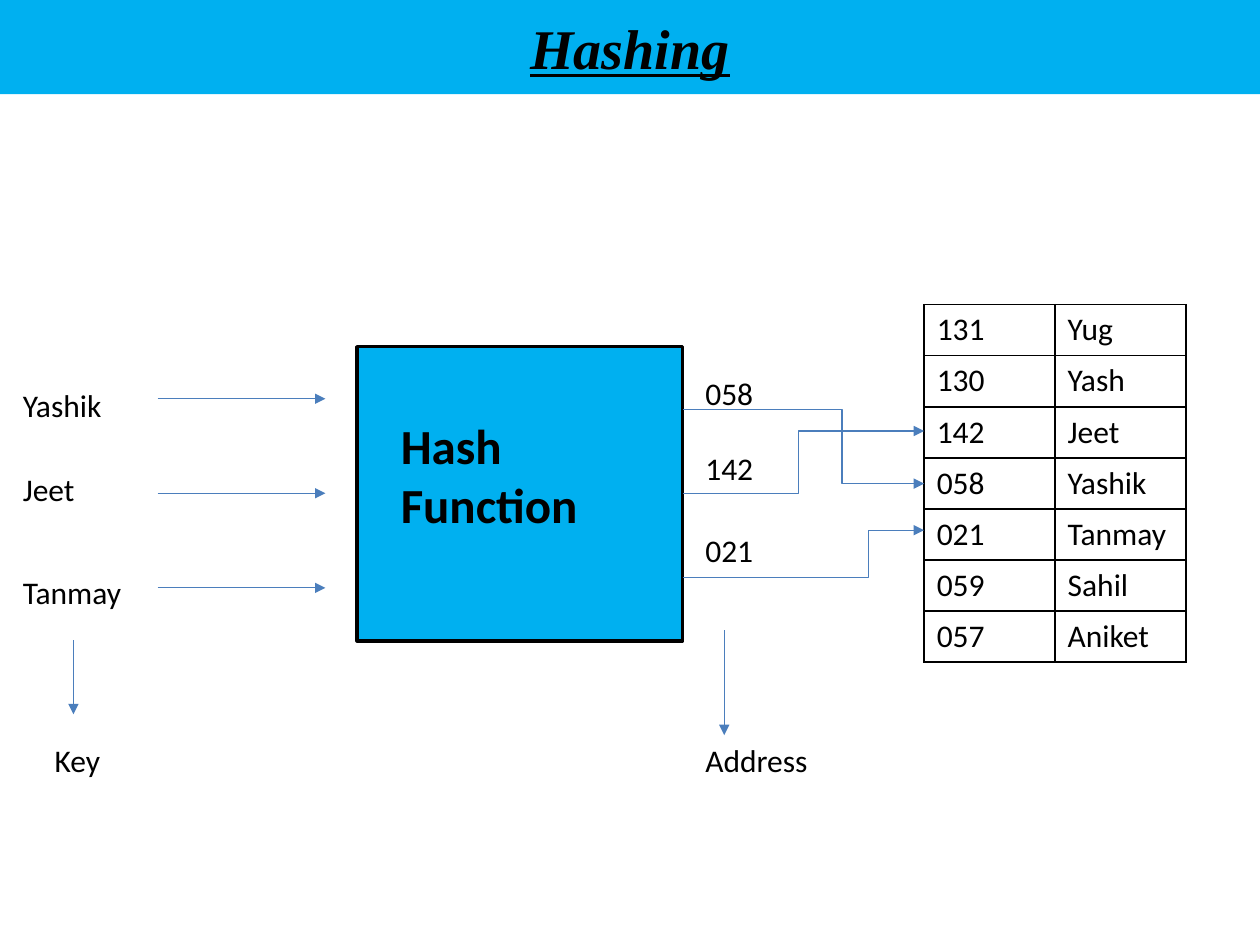
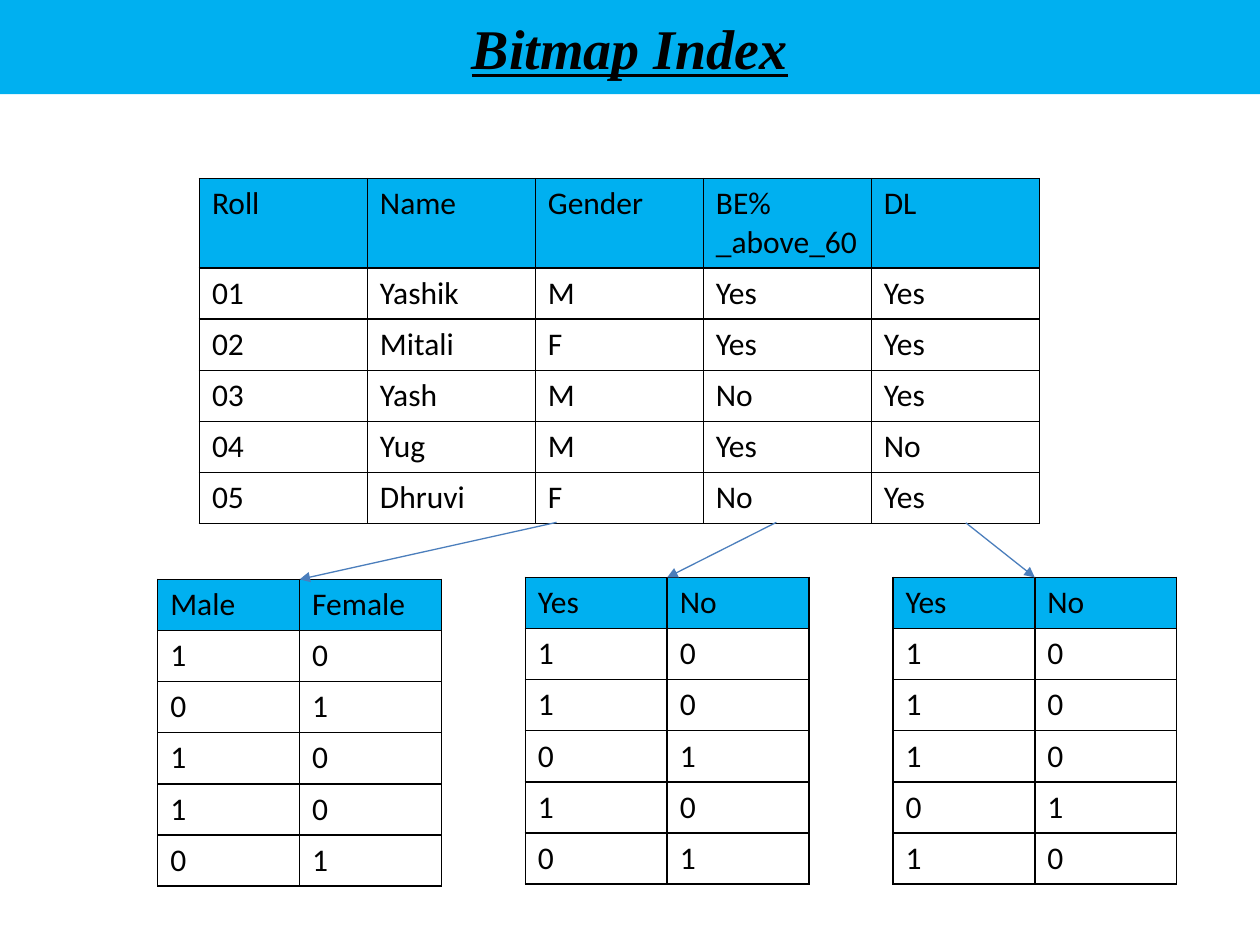
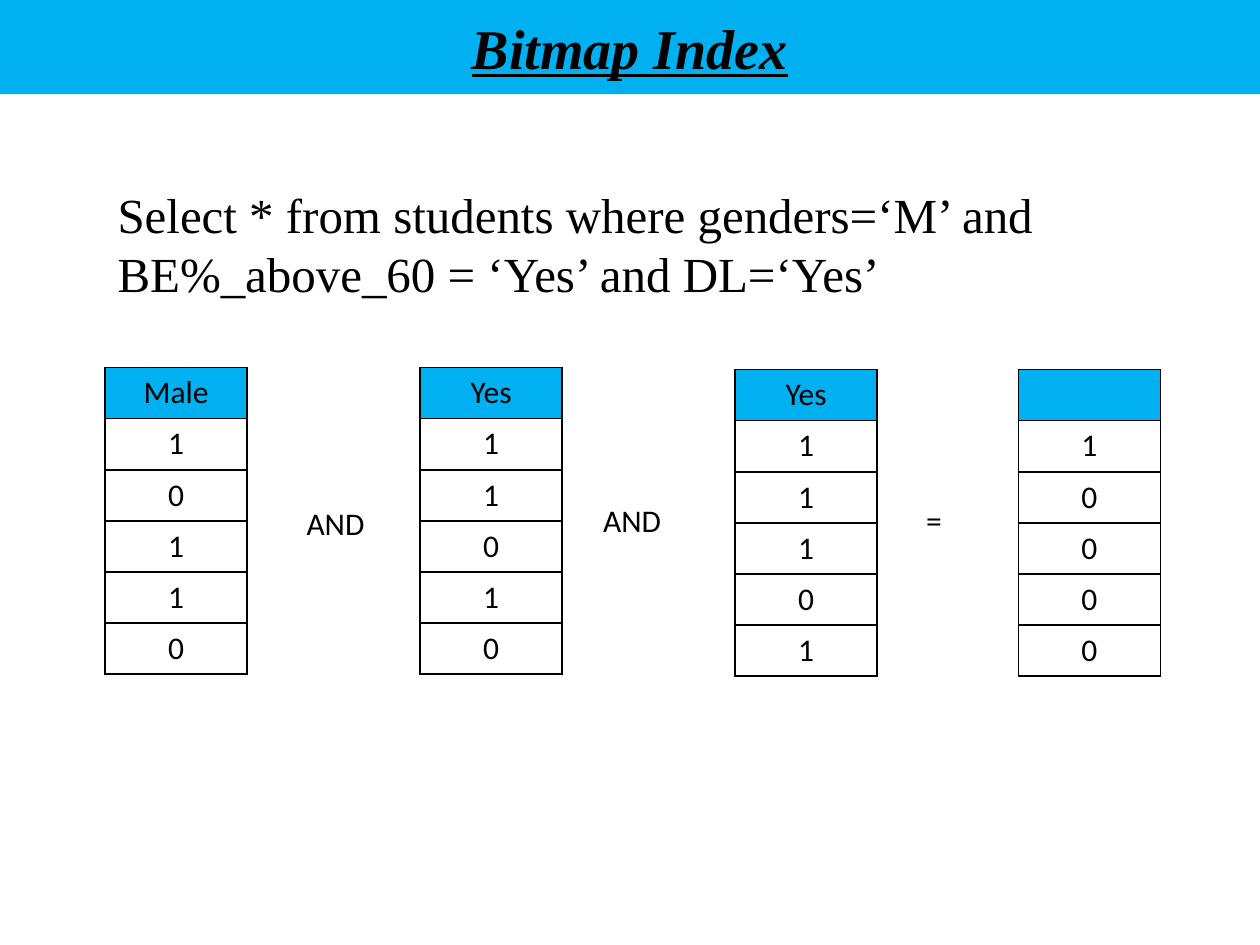
"""Build three slides on hashing and bitmap indexes."""
from dataclasses import dataclass
from lxml.etree import SubElement
from pptx import Presentation
from pptx.dml.color import RGBColor as Rgb
from pptx.enum.shapes import MSO_CONNECTOR as Link, MSO_SHAPE as Form
from pptx.enum.text import MSO_ANCHOR as Anchor, PP_ALIGN as Align
from pptx.oxml.ns import qn
from pptx.util import Cm, Pt


@dataclass(frozen=True)
class Theme:
    """Colours, fonts and sizes of the deck."""
    sky: Rgb = Rgb(0x00, 0xB0, 0xF0)
    ink: Rgb = Rgb(0x00, 0x00, 0x00)
    wire: Rgb = Rgb(0x4B, 0x7E, 0xBC)
    sans: str = "Calibri"
    serif: str = "Times New Roman"
    wide: float = 25.4
    tall: float = 19.05
    row: float = 1.03


T = Theme()
BODY = {"name": T.sans, "size": Pt(18)}
LEAD = {"name": T.sans, "size": Pt(28), "bold": True}
QUERY = {"name": T.serif, "size": Pt(28)}
TITLE = {"name": T.serif, "size": Pt(32), "bold": True, "italic": True, "underline": True}

HEAD = ["Roll", "Name", "Gender", "BE% _above_60", "DL"]
STUDENTS = [
    ["01", "Yashik", "M", "Yes", "Yes"],
    ["02", "Mitali", "F", "Yes", "Yes"],
    ["03", "Yash", "M", "No", "Yes"],
    ["04", "Yug", "M", "Yes", "No"],
    ["05", "Dhruvi", "F", "No", "Yes"],
]
BUCKETS = [
    ["131", "Yug"], ["130", "Yash"], ["142", "Jeet"], ["058", "Yashik"],
    ["021", "Tanmay"], ["059", "Sahil"], ["057", "Aniket"],
]


def write(frame, text, look=BODY, align=Align.LEFT):
    """Put styled text in a frame."""
    para = frame.paragraphs[0]
    para.text = text
    para.alignment = align
    for key, val in look.items():
        setattr(para.font, key, val)
    para.font.color.rgb = T.ink


def label(slide, text, x, y, w, h=T.row, look=BODY):
    """Add a wrapped text box."""
    frame = slide.shapes.add_textbox(Cm(x), Cm(y), Cm(w), Cm(h)).text_frame
    frame.word_wrap = True
    write(frame, text, look)


def block(slide, x, y, w, h, edge=None):
    """Add a sky blue box, with an outline if an edge width is given."""
    box = slide.shapes.add_shape(Form.RECTANGLE, Cm(x), Cm(y), Cm(w), Cm(h))
    box.shadow.inherit = False
    box.fill.solid()
    box.fill.fore_color.rgb = T.sky
    if edge:
        box.line.color.rgb = T.ink
        box.line.width = Pt(edge)
    else:
        box.line.fill.background()
    return box


def arrow(slide, start, end, bend=None):
    """Add an arrow, bent at a share of its width if bend is given."""
    kind = Link.ELBOW if bend else Link.STRAIGHT
    line = slide.shapes.add_connector(kind, *map(Cm, start + end))
    line.line.color.rgb = T.wire
    line.line.width = Pt(0.75)
    props = line._element.spPr
    SubElement(props.find(qn("a:ln")), qn("a:tailEnd"), type="triangle")
    SubElement(props, qn("a:effectLst"))
    if bend:
        geom = props.find(qn("a:prstGeom"))
        SubElement(geom.find(qn("a:avLst")), qn("a:gd"),
                   name="adj1", fmla=f"val {round(bend * 100000)}")


def frame_cell(cell):
    """Draw black borders round a cell."""
    props = cell._tc.get_or_add_tcPr()
    for side in ("lnL", "lnR", "lnT", "lnB"):
        edge = SubElement(props, qn(f"a:{side}"), w=str(Pt(1)))
        fill = SubElement(edge, qn("a:solidFill"))
        SubElement(fill, qn("a:srgbClr"), val=str(T.ink))


def table(slide, rows, x, y, w, head=True, align=Align.LEFT):
    """Add a ruled table with an optional blue head row."""
    size = len(rows), len(rows[0])
    grid = slide.shapes.add_table(*size, Cm(x), Cm(y), Cm(w), Cm(T.row * size[0])).table
    grid.first_row = grid.horz_banding = False
    for r, row in enumerate(rows):
        grid.rows[r].height = Cm(T.row)
        for c, text in enumerate(row):
            cell = grid.cell(r, c)
            frame_cell(cell)
            if head and r == 0:
                cell.fill.solid()
                cell.fill.fore_color.rgb = T.sky
            else:
                cell.fill.background()
            write(cell.text_frame, str(text), align=align)


def page(deck, title):
    """Add a blank slide with a title band."""
    slide = deck.slides.add_slide(deck.slide_layouts[6])
    frame = block(slide, 0, 0, T.wide, 1.9).text_frame
    frame.vertical_anchor = Anchor.MIDDLE
    write(frame, title, TITLE, Align.CENTER)
    return slide


def bits(col, value):
    """Mark with 1 each student whose column holds the value."""
    return [int(row[col] == value) for row in STUDENTS]


def hashing(deck):
    """Show keys hashed to addresses in a table."""
    slide = page(deck, "Hashing")
    block(slide, 7.2, 6.99, 6.56, 5.93, edge=2)
    label(slide, "Hash Function", 7.83, 8.25, 5.5, 2.65, LEAD)
    table(slide, BUCKETS, 18.63, 6.14, 5.28, head=False)
    for i, (key, y) in enumerate([("Yashik", 7.65), ("Jeet", 9.35), ("Tanmay", 11.43)]):
        label(slide, key, 0.21, y, 2.54)
        level = 8.04 + 1.905 * i
        arrow(slide, (3.18, level), (6.56, level))
    for code, y, out, slot, bend in [
        ("058", 7.42, 8.25, 9.75, 0.66),
        ("142", 8.92, 9.95, 8.69, 0.48),
        ("021", 10.59, 11.64, 10.69, 0.77),
    ]:
        label(slide, code, 13.97, y, 1.9)
        arrow(slide, (13.76, out), (18.63, slot), bend)
    for text, x, mid, top, end in [
        ("Key", 0.85, 1.48, 12.91, 14.4),
        ("Address", 13.97, 14.6, 12.7, 14.82),
    ]:
        label(slide, text, x, 14.82, 3.39)
        arrow(slide, (mid, top), (mid, end))


def bitmaps(deck):
    """Show the student table and its three bitmap indexes."""
    slide = page(deck, "Bitmap Index")
    table(slide, [HEAD] + STUDENTS, 4.02, 3.6, 16.93)
    for i, (col, names, values, y, start) in enumerate([
        (2, ("Male", "Female"), "MF", 11.68, (11.22, 10.53)),
        (3, ("Yes", "No"), ("Yes", "No"), 11.64, (15.65, 10.53)),
        (4, ("Yes", "No"), ("Yes", "No"), 11.64, (19.47, 10.54)),
    ]):
        x = 3.18 + 7.41 * i
        pairs = zip(*(bits(col, value) for value in values))
        table(slide, [names, *pairs], x, y, 5.72)
        arrow(slide, start, (x + 2.86, y))


def query(deck):
    """Show a query answered by joining bitmaps."""
    slide = page(deck, "Bitmap Index")
    label(slide, "Select * from students where genders=‘M’ and "
          "BE%_above_60 = ‘Yes’ and DL=‘Yes’", 2.12, 3.6, 21.59, 3.43, QUERY)
    terms = [bits(2, "M"), bits(3, "Yes"), bits(4, "Yes")]
    terms.append([min(row) for row in zip(*terms)])
    spots = [("Male", 2.12, 7.41), ("Yes", 8.47, 7.41), ("Yes", 14.82, 7.45), ("", 20.53, 7.45)]
    for (name, x, y), term in zip(spots, terms):
        table(slide, [[name]] + [[bit] for bit in term], x, y, 2.86, align=Align.CENTER)
    for sign, x, y in [("AND", 5.93, 10.03), ("AND", 11.91, 9.98), ("=", 18.42, 9.98)]:
        label(slide, sign, x, y, 2.33)


def main():
    """Build and save the deck."""
    deck = Presentation()
    deck.slide_width, deck.slide_height = Cm(T.wide), Cm(T.tall)
    for build in (hashing, bitmaps, query):
        build(deck)
    deck.save("out.pptx")


if __name__ == "__main__":
    main()
